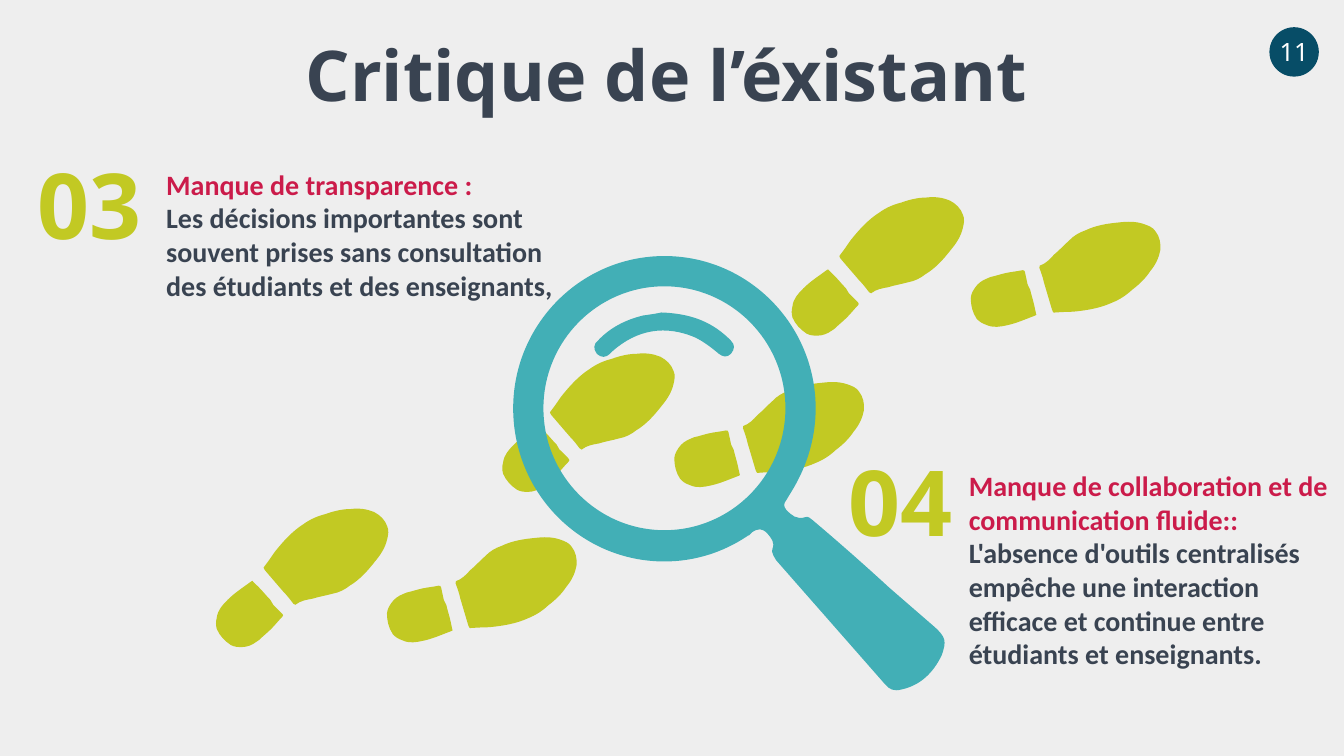
from dataclasses import dataclass
from math import cos, radians, sin

from lxml.etree import SubElement
from pptx import Presentation
from pptx.dml.color import RGBColor
from pptx.enum.shapes import MSO_SHAPE
from pptx.enum.text import MSO_ANCHOR, MSO_AUTO_SIZE, PP_ALIGN
from pptx.oxml.ns import qn
from pptx.util import Inches, Pt

BACKGROUND, NAVY, SLATE = "EEEEEE", "074D67", "394351"
LIME, TEAL, RED, WHITE = "C2C923", "42AFB6", "CB1B4A", "FFFFFF"

Point = tuple[float, float]
Contour = list[Point]


@dataclass
class Box:
    left: float
    top: float
    width: float
    height: float

    def lengths(self) -> list[int]:
        return [Inches(v) for v in (self.left, self.top, self.width, self.height)]


@dataclass
class Critique:
    number: str
    number_box: Box
    heading: str
    body: str
    text_box: Box


@dataclass
class Footprint:
    center: Point
    mirrored: bool


def contour(numbers: str) -> Contour:
    """Read a start point followed by triples of Bezier points."""
    values = [float(number) for number in numbers.split()]
    return list(zip(values[::2], values[1::2]))


# Footprint outline: centre of the sole, then sole and heel
SOLE_CENTER = (3.28, 5.49)
MIRROR_ANGLE = radians(-57.1)
SOLE = contour("""
    3.01 5.2 3.08 5.15 3.15 5.12 3.23 5.1 3.31 5.07 3.4 5.05 3.48 5.05
    3.56 5.04 3.64 5.05 3.71 5.08 3.77 5.11 3.82 5.16 3.84 5.22
    3.86 5.26 3.85 5.31 3.84 5.35 3.82 5.44 3.77 5.51 3.72 5.57
    3.65 5.66 3.57 5.75 3.47 5.81 3.42 5.85 3.36 5.88 3.3 5.89
    3.23 5.91 3.16 5.92 3.1 5.94 3.04 5.95 2.98 5.96 2.93 6
    2.92 6 2.92 6 2.91 5.99 2.88 5.95 2.85 5.91 2.81 5.87
    2.75 5.8 2.69 5.73 2.63 5.66 2.61 5.63 2.61 5.63 2.63 5.61
    2.67 5.56 2.7 5.51 2.73 5.47 2.81 5.37 2.9 5.27 3.01 5.2""")
HEEL = contour("""
    2.54 6.37 2.5 6.4 2.45 6.42 2.4 6.42 2.36 6.42 2.33 6.42 2.29 6.4
    2.23 6.36 2.18 6.31 2.15 6.24 2.14 6.2 2.14 6.17 2.15 6.13
    2.16 6.05 2.21 6 2.26 5.95 2.33 5.88 2.41 5.83 2.49 5.77
    2.5 5.76 2.51 5.76 2.51 5.77 2.53 5.79 2.55 5.81 2.57 5.83
    2.61 5.87 2.64 5.91 2.68 5.95 2.69 5.97 2.7 5.98 2.71 6
    2.74 6.03 2.77 6.06 2.8 6.09 2.81 6.1 2.81 6.11 2.8 6.12
    2.76 6.16 2.73 6.2 2.69 6.24 2.65 6.28 2.61 6.31 2.57 6.35
    2.56 6.36 2.55 6.36 2.54 6.37""")
FOOTPRINTS = [
    Footprint((3.28, 5.49), False), Footprint((5.14, 5.75), True),
    Footprint((6.12, 3.95), False), Footprint((7.99, 4.21), True),
    Footprint((8.99, 2.4), False), Footprint((10.93, 2.62), True),
]

# Magnifying glass outlines
GLINT = contour("""
    6.56 3.1 6.83 3.11 7.04 3.18 7.22 3.35 7.23 3.36 7.24 3.37 7.25 3.38
    7.29 3.42 7.29 3.46 7.25 3.51 7.21 3.55 7.17 3.54 7.13 3.51
    7.06 3.45 6.98 3.39 6.9 3.35 6.6 3.22 6.32 3.27 6.08 3.48
    6.07 3.49 6.06 3.5 6.05 3.51 6.01 3.55 5.96 3.55 5.92 3.51
    5.88 3.46 5.89 3.41 5.93 3.38 6.05 3.25 6.21 3.17 6.38 3.13
    6.45 3.12 6.52 3.11 6.56 3.1""")
RIM_AND_HANDLE = contour("""
    9.27 6.22 9.12 6.09 8.97 5.96 8.82 5.83 8.57 5.6 8.32 5.38 8.06 5.16
    8.04 5.14 8.01 5.12 7.99 5.13 7.9 5.16 7.85 5.11 7.8 5.06
    7.77 5.02 7.77 5 7.8 4.96 7.81 4.94 7.82 4.93 7.83 4.91
    7.99 4.66 8.09 4.37 8.09 4.05 8.09 3.22 7.42 2.54 6.59 2.54
    5.76 2.54 5.09 3.22 5.09 4.05 5.09 4.89 5.76 5.57 6.59 5.57
    6.89 5.57 7.17 5.48 7.41 5.32 7.41 5.32 7.42 5.31 7.43 5.31
    7.44 5.3 7.45 5.29 7.46 5.28 7.52 5.24 7.56 5.24 7.61 5.29
    7.65 5.34 7.69 5.38 7.66 5.45 7.65 5.48 7.68 5.53 7.7 5.56
    8.06 5.97 8.42 6.38 8.78 6.79 8.82 6.84 8.87 6.86 8.94 6.84
    9.13 6.8 9.26 6.67 9.34 6.5 9.39 6.36 9.38 6.32 9.27 6.22""")
LENS = contour("""
    5.39 4.05 5.39 3.38 5.93 2.84 6.59 2.84 7.25 2.84 7.79 3.38 7.79 4.05
    7.79 4.72 7.25 5.26 6.59 5.26 5.93 5.26 5.39 4.72 5.39 4.05""")

CRITIQUES = [
    Critique("03", Box(0.18, 1.42, 1.42, 1.19), "Manque de transparence :",
             "Les décisions importantes sont souvent prises sans consultation "
             "des étudiants et des enseignants,", Box(1.55, 1.61, 4.34, 1.45)),
    Critique("04", Box(8.03, 4.37, 1.8, 1.19),
             "Manque de collaboration et de communication fluide::",
             "L'absence d'outils centralisés empêche une interaction efficace et "
             "continue entre étudiants et enseignants.", Box(9.51, 4.6, 3.82, 2.12)),
]


def color(value: str) -> RGBColor:
    return RGBColor.from_string(value)


def format_paragraph(paragraph, font_name: str, size: float, font_color: str,
                     bold: bool = True, alignment=PP_ALIGN.CENTER) -> None:
    paragraph.alignment = alignment
    for run in paragraph.runs:
        run.font.name, run.font.size, run.font.bold = font_name, Pt(size), bold
        run.font.color.rgb = color(font_color)


def paint(shape, fill_color: str) -> None:
    shape.shadow.inherit = False
    shape.fill.solid()
    shape.fill.fore_color.rgb = color(fill_color)
    shape.line.fill.background()


def draw_curves(shapes, contours: list[Contour], fill_color: str) -> None:
    """Draw closed outlines, turning each three segments into one Bezier curve."""
    outlines = [[(Inches(x), Inches(y)) for x, y in points] for points in contours]
    builder = shapes.build_freeform(*outlines[0][0])
    for index, points in enumerate(outlines):
        if index:
            builder.move_to(*points[0])
        builder.add_line_segments(points[1:], close=True)
    shape = builder.convert_to_shape()
    for outline in shape.element.iter(qn("a:path")):
        segments = outline.findall(qn("a:lnTo"))
        for first, second, third in zip(segments[::3], segments[1::3], segments[2::3]):
            curve = SubElement(outline, qn("a:cubicBezTo"))
            first.addprevious(curve)
            for segment in (first, second, third):
                curve.append(segment[0])
                outline.remove(segment)
    paint(shape, fill_color)


def place(points: Contour, footprint: Footprint) -> Contour:
    cosine, sine = cos(MIRROR_ANGLE), sin(MIRROR_ANGLE)
    placed = []
    for x, y in points:
        dx, dy = x - SOLE_CENTER[0], y - SOLE_CENTER[1]
        if footprint.mirrored:
            dx, dy = cosine * dx + sine * dy, sine * dx - cosine * dy
        placed.append((footprint.center[0] + dx, footprint.center[1] + dy))
    return placed


def add_text_box(slide, box: Box, text: str):
    text_frame = slide.shapes.add_textbox(*box.lengths()).text_frame
    text_frame.word_wrap = True
    text_frame.auto_size = MSO_AUTO_SIZE.SHAPE_TO_FIT_TEXT
    text_frame.text = text
    return text_frame


def add_number(slide, critique: Critique) -> None:
    text_frame = add_text_box(slide, critique.number_box, critique.number)
    format_paragraph(text_frame.paragraphs[0], "Open Sans", 65, LIME)


def add_critique(slide, critique: Critique) -> None:
    text = f"{critique.heading}\n{critique.body}"
    text_frame = add_text_box(slide, critique.text_box, text)
    for paragraph, font_color in zip(text_frame.paragraphs, (RED, SLATE)):
        format_paragraph(paragraph, "Calibri", 20, font_color, alignment=PP_ALIGN.LEFT)


def main() -> None:
    presentation = Presentation()
    presentation.slide_width, presentation.slide_height = Inches(13.33), Inches(7.5)
    slide = presentation.slides.add_slide(presentation.slide_layouts[5])
    slide.background.fill.solid()
    slide.background.fill.fore_color.rgb = color(BACKGROUND)

    # Title
    title = slide.shapes.title
    title.left, title.top, title.width, title.height = Box(1.32, 0.26, 10.58, 0.94).lengths()
    title.text_frame.text = "Critique de l’éxistant"
    title.text_frame.vertical_anchor = MSO_ANCHOR.MIDDLE
    title.text_frame.auto_size = MSO_AUTO_SIZE.NONE
    format_paragraph(title.text_frame.paragraphs[0], "Noto Sans", 50, SLATE)

    # Page number
    badge = slide.shapes.add_shape(MSO_SHAPE.OVAL, *Box(12.59, 0.27, 0.49, 0.49).lengths())
    paint(badge, NAVY)
    badge.text_frame.text = "11"
    badge.text_frame.word_wrap = False
    badge.text_frame.vertical_anchor = MSO_ANCHOR.MIDDLE
    format_paragraph(badge.text_frame.paragraphs[0], "Noto Sans", 18, WHITE, bold=False)

    # Footprints under the magnifying glass
    trail = slide.shapes.add_group_shape()
    for footprint in FOOTPRINTS:
        for points in (SOLE, HEEL):
            draw_curves(trail.shapes, [place(points, footprint)], LIME)
    magnifier = slide.shapes.add_group_shape()
    draw_curves(magnifier.shapes, [GLINT], TEAL)
    draw_curves(magnifier.shapes, [RIM_AND_HANDLE, LENS], TEAL)

    # Numbered critiques
    for critique in CRITIQUES:
        add_number(slide, critique)
        add_critique(slide, critique)

    presentation.save("out.pptx")


if __name__ == "__main__":
    main()
